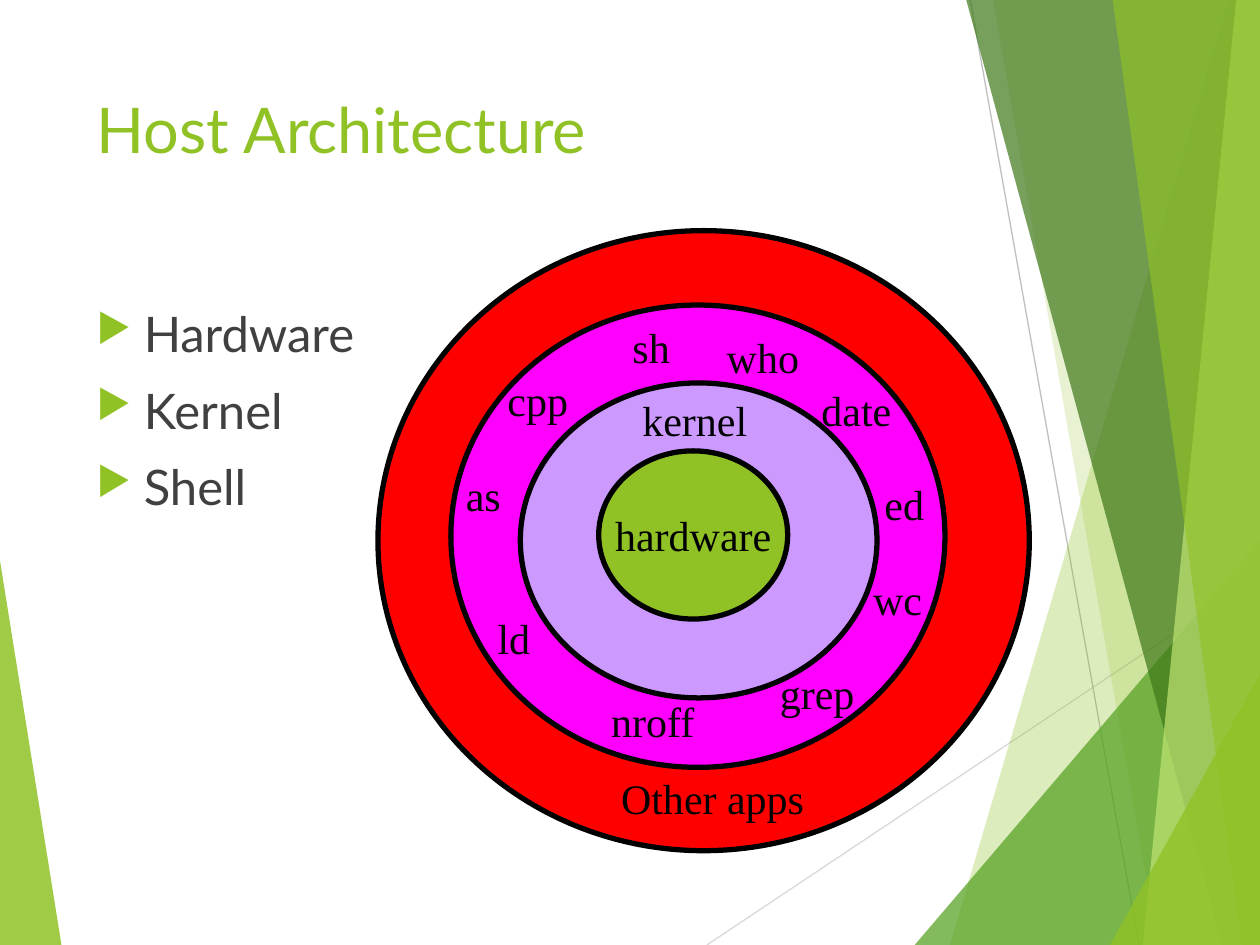
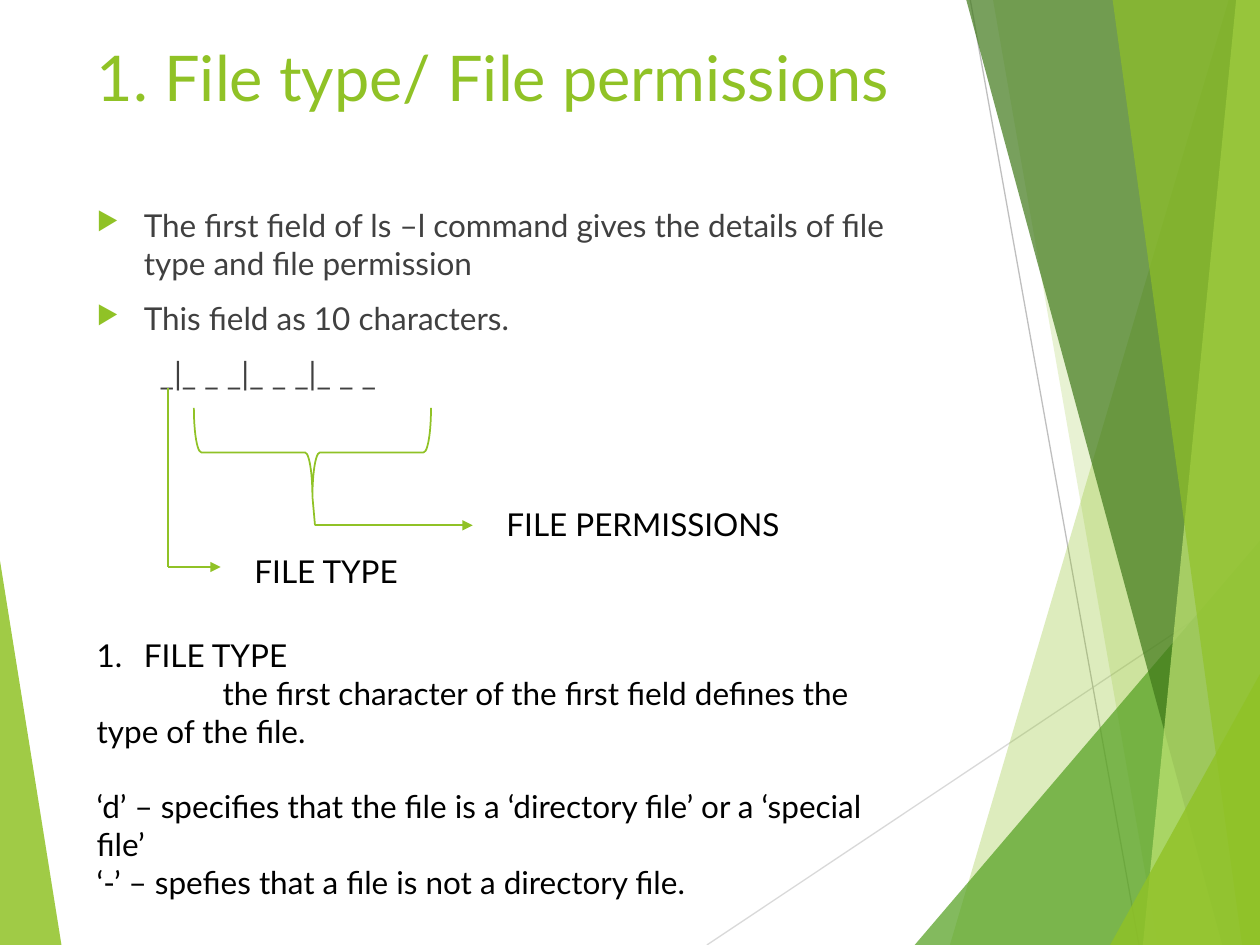
import lxml.etree
import pptx
import pptx.dml.color
import pptx.enum.shapes
import pptx.enum.text
import pptx.oxml.ns
import pptx.util

Cm = pptx.util.Cm
Pt = pptx.util.Pt
qn = pptx.oxml.ns.qn
SHAPE = pptx.enum.shapes.MSO_SHAPE
ANCHOR = pptx.enum.text.MSO_ANCHOR
ALIGN = pptx.enum.text.PP_ALIGN
FIT = pptx.enum.text.MSO_AUTO_SIZE

WIDE, HIGH = 25.4, 19.05
LEFT, SPAN = 1.7, 17.63
LIME, LEAF, MOSS, PALE = "90C226", "54A021", "3F7819", "C0E474"
BLACK, GRAY = "000000", "404040"
SANS, SERIF = "Lato", "Times New Roman"

RINGS = [
    (7.62, 4.65, 13.13, 12.5, "FF0000"),
    (9.09, 6.15, 9.96, 9.32, "FF00FF"),
    (10.49, 7.72, 7.19, 6.35, "CC99FF"),
    (12.07, 9.09, 3.81, 3.39, LIME),
]
LABELS = [
    ("kernel", 12.7, 7.82, 2.62),
    ("sh", 12.5, 6.35, 1.27),
    ("who", 14.4, 6.55, 1.98),
    ("date", 16.31, 7.62, 1.93),
    ("ed", 17.58, 9.53, 1.32),
    ("wc", 17.35, 11.43, 1.5),
    ("grep", 15.47, 13.34, 2.01),
    ("as", 9.14, 9.35, 1.22),
    ("nroff", 12.07, 13.89, 2.21),
    ("ld", 9.78, 12.22, 1.17),
    ("cpp", 9.98, 7.42, 1.73),
    ("Other apps", 12.27, 15.44, 4.5),
]


def paint(fill, hue):
    fill.solid()
    fill.fore_color.rgb = pptx.dml.color.RGBColor.from_string(hue)


def add_node(node, tag, **attrs):
    return lxml.etree.SubElement(node, qn(tag), attrs)


def style(par, face, size, hue):
    par.font.name = face
    par.font.size = Pt(size)
    paint(par.font.fill, hue)


def indent(par, margin, first):
    props = par._p.get_or_add_pPr()
    props.set("marL", str(Cm(margin)))
    props.set("indent", str(Cm(first)))
    return props


def add_mark(par):
    props = indent(par, 0.95, -0.95)
    tint = add_node(props, "a:buClr")
    add_node(tint, "a:srgbClr", val=LIME)
    add_node(props, "a:buSzPct", val="80000")
    add_node(props, "a:buChar", char="▶")


def add_count(par):
    props = indent(par, 0.95, -0.95)
    add_node(props, "a:buAutoNum", type="arabicPeriod")


def add_text(slide, lines, box, face, size, hue, wrap=True):
    frame = slide.shapes.add_textbox(*map(Cm, box)).text_frame
    frame.word_wrap = wrap
    frame.auto_size = FIT.NONE if wrap else FIT.SHAPE_TO_FIT_TEXT
    frame.text = "\n".join(lines)
    for par in frame.paragraphs:
        style(par, face, size, hue)
    return frame.paragraphs


def add_list(slide, lines, top, size):
    pars = add_text(slide, lines, (LEFT, top, SPAN, 10.77), SANS, size, GRAY)
    for par in pars:
        par.space_before = Pt(10)
    return pars


def add_line(slide, start, end, hue=LIME, width=1, arrow=False):
    line = slide.shapes.add_connector(
        pptx.enum.shapes.MSO_CONNECTOR.STRAIGHT, *map(Cm, start + end))
    paint(line.line.fill, hue)
    line.line.width = Pt(width)
    props = line.element.spPr
    if arrow:
        add_node(props.find(qn("a:ln")), "a:tailEnd", type="triangle")
    add_node(props, "a:effectLst")


def add_pane(slide, points, hue, alpha):
    spots = [(Cm(x), Cm(y)) for x, y in points]
    draft = slide.shapes.build_freeform(*spots[0])
    draft.add_line_segments(spots[1:])
    pane = draft.convert_to_shape()
    pane.shadow.inherit = False
    paint(pane.fill, hue)
    tint = pane.element.spPr.find(".//" + qn("a:srgbClr"))
    add_node(tint, "a:alpha", val=str(alpha * 1000))
    pane.line.fill.background()


def band(top, base):
    return [(top, 0), (base, HIGH), (WIDE, HIGH), (WIDE, 0)]


def wedge(left, top):
    return [(left, HIGH), (WIDE, top), (WIDE, HIGH)]


def add_decor(slide):
    add_pane(slide, [(0, 11.3), (1.24, HIGH), (0, HIGH)], LIME, 85)
    add_line(slide, (14.25, HIGH), (WIDE, 11.61), "D9D9D9", 0.75)
    add_line(slide, (19.56, 0), (22.96, HIGH), "BFBFBF", 0.75)
    for points, hue, alpha in [
        (band(24.77, 19.15), LIME, 30),
        (band(20.02, 23.34), LIME, 20),
        (wedge(18.44, 10.9), LEAF, 72),
        (band(19.48, 24.64), MOSS, 70),
        (band(24.92, 23.04), PALE, 70),
        (band(22.43, 25.04), LIME, 65),
        (wedge(22.38, 13.59), LIME, 80),
    ]:
        add_pane(slide, points, hue, alpha)


def add_slide(deck, text, top):
    slide = deck.slides.add_slide(deck.slide_layouts[5])
    add_decor(slide)
    title = slide.shapes.title
    slide.shapes.element.append(title.element)
    title.left, title.top = Cm(LEFT), Cm(top)
    title.width, title.height = Cm(SPAN), Cm(2.34)
    frame = title.text_frame
    frame.text = text
    frame.auto_size = FIT.NONE
    frame.vertical_anchor = ANCHOR.TOP
    par = frame.paragraphs[0]
    par.alignment = ALIGN.LEFT
    style(par, SANS, 36, LIME)
    return slide


def add_ring(slide, left, top, width, height, hue):
    ring = slide.shapes.add_shape(
        SHAPE.OVAL, *map(Cm, (left, top, width, height)))
    ring.shadow.inherit = False
    paint(ring.fill, hue)
    paint(ring.line.fill, BLACK)
    ring.line.width = Pt(3)
    return ring


def add_brace(slide, box):
    brace = slide.shapes.add_shape(SHAPE.LEFT_BRACE, *map(Cm, box))
    brace.rotation = 270
    brace.shadow.inherit = False
    brace.fill.background()
    paint(brace.line.fill, LIME)
    brace.line.width = Pt(1)


def draw_layers(deck):
    slide = add_slide(deck, "Host Architecture", 1.7)
    for par in add_list(slide, ["Hardware", "Kernel", "Shell"], 6, 28):
        add_mark(par)
    rings = [add_ring(slide, *ring) for ring in RINGS]
    frame = rings[-1].text_frame
    frame.word_wrap = False
    frame.vertical_anchor = ANCHOR.MIDDLE
    frame.text = "hardware"
    frame.paragraphs[0].alignment = ALIGN.CENTER
    style(frame.paragraphs[0], SERIF, 24, BLACK)
    for text, left, top, width in LABELS:
        add_text(slide, [text], (left, top, width, 1.27),
                 SERIF, 24, BLACK, wrap=False)


def draw_rights(deck):
    slide = add_slide(deck, "1. File type/ File permissions", 0.64)
    pars = add_list(slide, [
        "The first field of ls –l command gives the details of file type "
        "and file permission",
        "This field as 10 characters.",
        "_|_ _ _|_ _ _|_ _ _",
    ], 4.03, 18)
    for par in pars[:2]:
        add_mark(par)
    indent(pars[2], 0, 1.27)

    add_line(slide, (3.38, 7.82), (3.38, 11.43))
    add_line(slide, (3.38, 11.43), (4.45, 11.43), arrow=True)
    add_text(slide, ["FILE TYPE"], (4.88, 11, 5.08, 1.07), SANS, 18, BLACK)
    add_brace(slide, (5.4, 6.73, 1.8, 4.78))
    add_line(slide, (6.3, 10.03), (6.35, 10.59))
    add_line(slide, (6.35, 10.59), (9.53, 10.59), arrow=True)
    add_text(slide, ["FILE PERMISSIONS"], (9.96, 10.06, 6.15, 1.02),
             SANS, 18, BLACK)

    notes = add_text(slide, [
        "FILE TYPE",
        "the first character of the first field defines the type of the file.",
        "‘d’ – specifies that the file is a ‘directory file’ or a "
        "‘special file’",
        "‘-’ – spefies that a file is not a directory file.",
    ], (LEFT, 12.7, 16.94, 5.64), SANS, 18, BLACK)
    add_count(notes[0])
    indent(notes[1], 0, 2.54)
    notes[2].space_before = Pt(21.6)


def main():
    deck = pptx.Presentation()
    deck.slide_width, deck.slide_height = Cm(WIDE), Cm(HIGH)
    draw_layers(deck)
    draw_rights(deck)
    deck.save("out.pptx")


if __name__ == "__main__":
    main()
